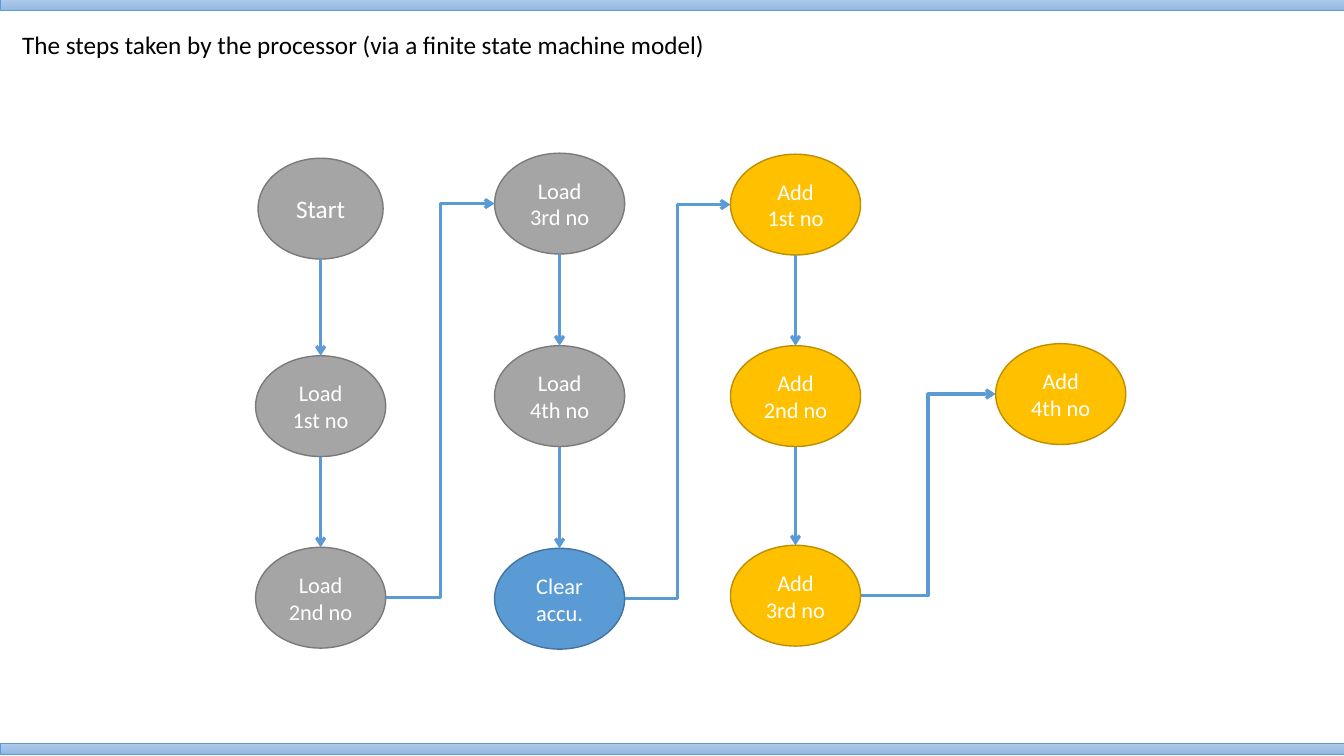
from itertools import pairwise

from lxml import etree
from pptx import Presentation
from pptx import util as u
from pptx.dml.color import RGBColor
from pptx.enum import shapes, text
from pptx.oxml import ns

WHITE = RGBColor(0xFF, 0xFF, 0xFF)
BLACK = RGBColor(0, 0, 0)
BLUE = RGBColor(0x5B, 0x9B, 0xD5)
BAR_TOP = RGBColor(0xB1, 0xCB, 0xE9)
BAR_BOTTOM = RGBColor(0x93, 0xB9, 0xE4)
GREY_STATE = (RGBColor(0xA5, 0xA5, 0xA5), RGBColor(0x7A, 0x7A, 0x7A))
BLUE_STATE = (BLUE, RGBColor(0x43, 0x73, 0x9E))
GOLD_STATE = (RGBColor(0xFF, 0xC0, 0x00), RGBColor(0xBD, 0x8E, 0x00))

SLIDE_WIDTH, SLIDE_HEIGHT = 13.33, 7.5
STATE_WIDTH, STATE_HEIGHT = 1.29, 1.0

COLUMNS = [
    (3.18, [("Start", 1.57, GREY_STATE), ("Load\n1st no", 3.53, GREY_STATE),
            ("Load\n2nd no", 5.43, GREY_STATE)]),
    (5.55, [("Load\n3rd no", 1.52, GREY_STATE), ("Load\n4th no", 3.43, GREY_STATE),
            ("Clear\naccu.", 5.44, BLUE_STATE)]),
    (7.89, [("Add\n1st no", 1.53, GOLD_STATE), ("Add\n2nd no", 3.43, GOLD_STATE),
            ("Add\n3rd no", 5.41, GOLD_STATE)]),
    (10.52, [("Add\n4th no", 3.41, GOLD_STATE)]),
]


def write_text(shape, words, size, color, align, anchor):
    """Fill a shape with formatted text, one paragraph per line."""
    frame = shape.text_frame
    frame.word_wrap = True
    frame.vertical_anchor = anchor
    frame.text = words
    for para in frame.paragraphs:
        para.alignment = align
        para.font.name = "Calibri"
        para.font.size = u.Pt(size)
        para.font.color.rgb = color


def add_title(page, left, top, width, height):
    """Move the title placeholder to its box and write the heading."""
    title = page.shapes.title
    title.left, title.top = u.Inches(left), u.Inches(top)
    title.width, title.height = u.Inches(width), u.Inches(height)
    write_text(title, "The steps taken by the processor (via a finite state machine model)",
               size=18, color=BLACK, align=text.PP_ALIGN.LEFT, anchor=text.MSO_ANCHOR.TOP)
    title.text_frame.auto_size = text.MSO_AUTO_SIZE.SHAPE_TO_FIT_TEXT


def add_bar(page, left, top, width, height):
    """Draw a gradient bar across the slide edge."""
    bar = page.shapes.add_shape(shapes.MSO_SHAPE.RECTANGLE, u.Inches(left), u.Inches(top),
                                u.Inches(width), u.Inches(height))
    bar.shadow.inherit = False
    bar.fill.gradient()
    bar.fill.gradient_angle = 270
    for stop, color in zip(bar.fill.gradient_stops, (BAR_TOP, BAR_BOTTOM)):
        stop.color.rgb = color
    bar.line.color.rgb = BLUE
    bar.line.width = u.Pt(0.5)


def add_state(page, label, left, top, width, height, colors):
    """Draw one state of the machine as a labelled ellipse."""
    state = page.shapes.add_shape(shapes.MSO_SHAPE.OVAL, u.Inches(left), u.Inches(top),
                                  u.Inches(width), u.Inches(height))
    state.shadow.inherit = False
    state.fill.solid()
    state.fill.fore_color.rgb, state.line.color.rgb = colors
    state.line.width = u.Pt(1)
    write_text(state, label, size=16 if "\n" in label else 18, color=WHITE,
               align=text.PP_ALIGN.CENTER, anchor=text.MSO_ANCHOR.MIDDLE)
    return state


def add_transition(page, source, target):
    """Draw an arrow down to the next state, or an elbow up to the next column."""
    if target.top > source.top:
        kind = shapes.MSO_CONNECTOR.STRAIGHT
        begin = source.left + source.width // 2, source.top + source.height
        end = target.left + target.width // 2, target.top
    else:
        kind = shapes.MSO_CONNECTOR.ELBOW
        begin = source.left + source.width, source.top + source.height // 2
        end = target.left, target.top + target.height // 2
    arrow = page.shapes.add_connector(kind, *begin, *end)
    arrow.line.color.rgb = BLUE
    arrow.line.width = u.Pt(2.25)
    etree.SubElement(arrow.line._get_or_add_ln(), ns.qn("a:tailEnd"), type="arrow")
    etree.SubElement(arrow._element.spPr, ns.qn("a:effectLst"))


def add_machine(page, left, top):
    """Draw every state column, then the transitions in order."""
    states = []
    for center, column in COLUMNS:
        for label, state_top, colors in column:
            width = 1.24 if label == "Start" else STATE_WIDTH
            states.append(add_state(page, label, left + center - width / 2, top + state_top,
                                    width, STATE_HEIGHT, colors))
    for source, target in pairwise(states):
        add_transition(page, source, target)


def main():
    """Build and save the slide."""
    deck = Presentation()
    deck.slide_width = u.Inches(SLIDE_WIDTH)
    deck.slide_height = u.Inches(SLIDE_HEIGHT)
    page = deck.slides.add_slide(deck.slide_layouts[5])
    for bar_top in (-0.01, 7.37):
        add_bar(page, 0, bar_top, SLIDE_WIDTH, 0.11)
    add_title(page, 0.12, 0.24, 12.28, 0.42)
    add_machine(page, 0, 0)
    deck.save("out.pptx")


if __name__ == "__main__":
    main()
